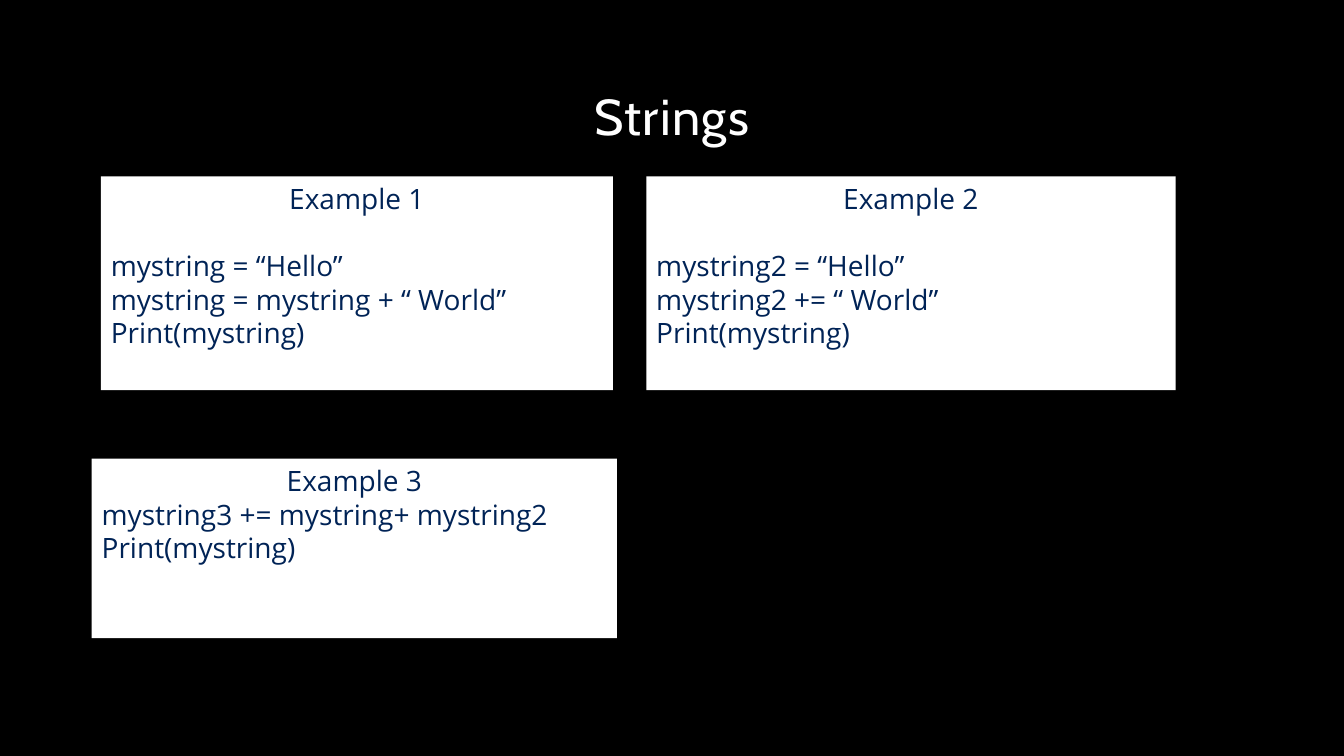
from pptx import Presentation
from pptx import util as u
from pptx.dml.color import RGBColor
from pptx.enum import shapes, text

THEME = {
    "background": RGBColor.from_string("000000"),
    "panel": RGBColor.from_string("FFFFFF"),
    "title": RGBColor.from_string("FFFFFF"),
    "code": RGBColor.from_string("002356"),
    "title_font": "Cabin",
    "code_font": "Open Sans",
    "title_size": u.Pt(36),
    "code_size": u.Pt(20),
    "code_line": u.Pt(24),
}

deck = Presentation()
deck.slide_width, deck.slide_height = u.Inches(13.33), u.Inches(7.5)
slide = deck.slides.add_slide(deck.slide_layouts[6])
slide.background.fill.solid()
slide.background.fill.fore_color.rgb = THEME["background"]


def write(paragraph, words, *, font, size, color, align=text.PP_ALIGN.LEFT,
          line_spacing=None, space_after=None, tracking=None):
    paragraph.alignment = align
    paragraph.line_spacing = line_spacing
    paragraph.space_after = space_after
    run = paragraph.add_run()
    run.text = words
    run.font.name, run.font.size = font, size
    run.font.color.rgb = color
    if tracking:
        run.font._element.set("spc", str(tracking))


# Title, centred across the slide
title_width = u.Inches(10)
title = slide.shapes.add_textbox((deck.slide_width - title_width) // 2, u.Inches(0.42),
                                 title_width, u.Inches(1.08)).text_frame
title.word_wrap = True
title.vertical_anchor = text.MSO_ANCHOR.BOTTOM
write(title.paragraphs[0], "Strings", font=THEME["title_font"], size=THEME["title_size"],
      color=THEME["title"], align=text.PP_ALIGN.CENTER, line_spacing=0.9, tracking=100)

# Example panels: heading, place in inches, gap under the heading in lines, code
examples = [
    ("Example 1", (1, 1.75, 5.08, 2.12), 1,
     ["mystring = “Hello”", "mystring = mystring + “ World”", "Print(mystring)"]),
    ("Example 2", (6.41, 1.75, 5.25, 2.12), 1,
     ["mystring2 = “Hello”", "mystring2 += “ World”", "Print(mystring)"]),
    ("Example 3", (0.91, 4.55, 5.21, 1.78), 0,
     ["mystring3 += mystring+ mystring2", "Print(mystring)"]),
]
code_style = {"font": THEME["code_font"], "size": THEME["code_size"], "color": THEME["code"]}

for heading, place, gap_lines, code in examples:
    panel = slide.shapes.add_shape(shapes.MSO_SHAPE.RECTANGLE, *map(u.Inches, place))
    panel.shadow.inherit = False
    panel.fill.solid()
    panel.fill.fore_color.rgb = THEME["panel"]
    panel.line.fill.background()
    frame = panel.text_frame
    frame.word_wrap = True
    frame.vertical_anchor = text.MSO_ANCHOR.TOP
    write(frame.paragraphs[0], heading, align=text.PP_ALIGN.CENTER,
          space_after=gap_lines * THEME["code_line"], **code_style)
    for statement in code:
        write(frame.add_paragraph(), statement, **code_style)

deck.save("out.pptx")
